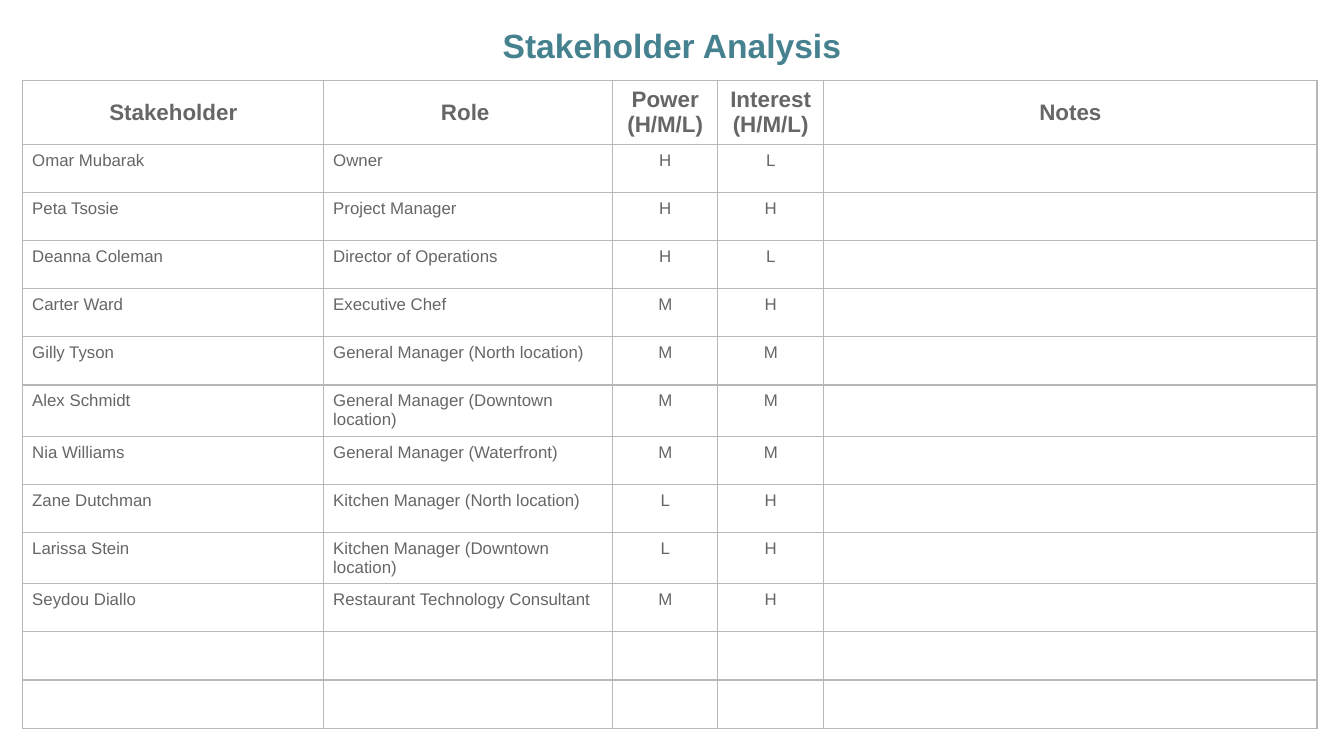
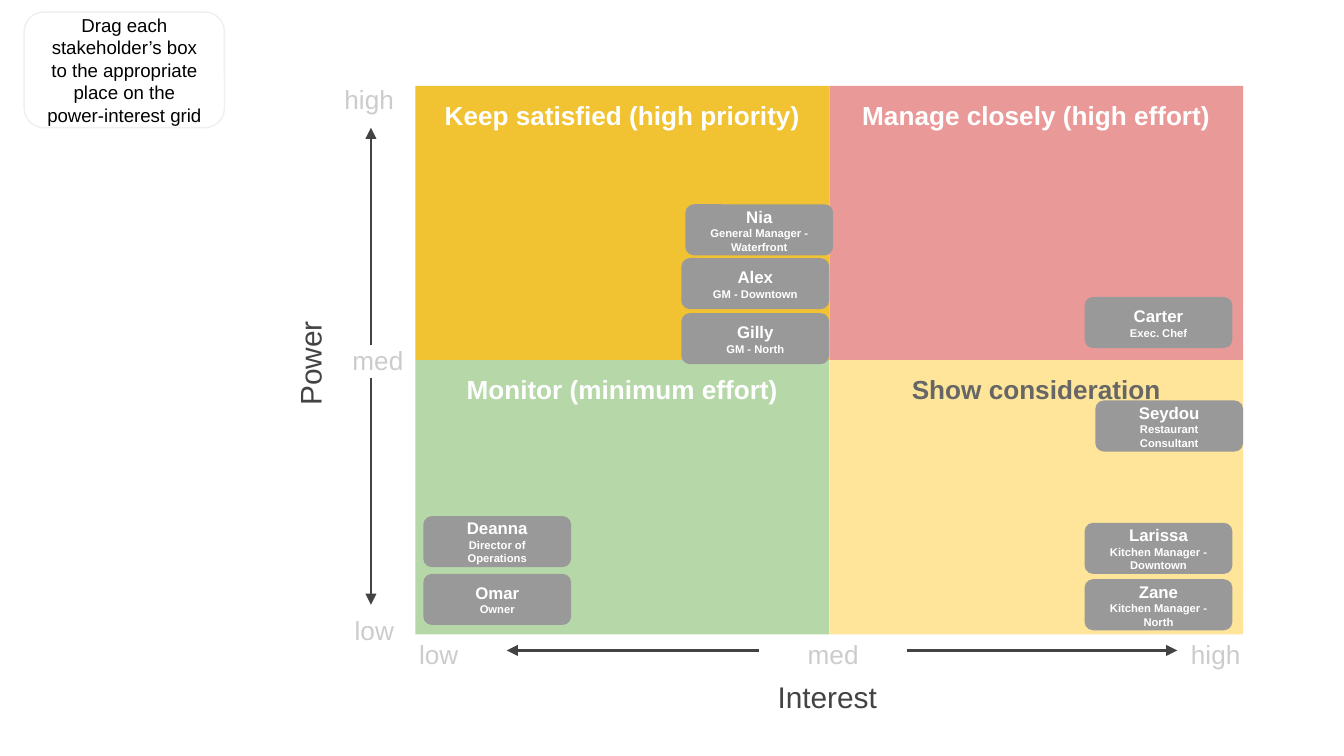
from lxml import etree
from pptx import Presentation, util as u
from pptx.dml.color import RGBColor
from pptx.enum import shapes, text
from pptx.oxml import ns

COLORS = {
    "title": "45818E", "table_text": "666666", "border": "B7B7B7",
    "gold": "F1C232", "pink": "EA9999", "green": "B6D7A8", "cream": "FFE599",
    "white": "FFFFFF", "black": "000000", "card": "999999",
    "axis": "434343", "scale": "CCCCCC", "hint_line": "EFEFEF",
}
ALIGN = {"l": text.PP_ALIGN.LEFT, "c": text.PP_ALIGN.CENTER, "r": text.PP_ALIGN.RIGHT}
TOP, MIDDLE = text.MSO_ANCHOR.TOP, text.MSO_ANCHOR.MIDDLE


def write(frame, lines, color, align="c", bold=False):
    for index, (words, size) in enumerate(lines):
        paragraph = frame.paragraphs[0] if index == 0 else frame.add_paragraph()
        paragraph.alignment = ALIGN[align]
        if not words:
            end = etree.SubElement(paragraph._p, ns.qn("a:endParaRPr"))
            end.set("sz", str(size * 100))
            continue
        run = paragraph.add_run()
        run.text = words
        run.font.name = "Arial"
        run.font.size = u.Pt(size)
        run.font.bold = bold
        run.font.color.rgb = RGBColor.from_string(COLORS[color])


def add_box(slide, box, lines, color, kind=None, fill=None, align="c", bold=False, anchor=TOP):
    place = [u.Inches(value) for value in box]
    if kind is None:
        shape = slide.shapes.add_textbox(*place)
    else:
        shape = slide.shapes.add_shape(kind, *place)
        shape.shadow.inherit = False
        shape.line.fill.background()
        if fill:
            shape.fill.solid()
            shape.fill.fore_color.rgb = RGBColor.from_string(COLORS[fill])
        else:
            shape.fill.background()
    frame = shape.text_frame
    frame.word_wrap = True
    frame.vertical_anchor = anchor
    frame.margin_left = frame.margin_right = u.Inches(0.1)
    frame.margin_top = frame.margin_bottom = u.Inches(0.1)
    write(frame, lines, color, align, bold)
    return shape


presentation = Presentation()
presentation.slide_width = u.Inches(10)
presentation.slide_height = u.Inches(10 * 9 / 16)
blank = presentation.slide_layouts[6]

slide = presentation.slides.add_slide(blank)
stakeholders = [
    ("Stakeholder", "Role ", "Power (H/M/L)", "Interest (H/M/L)", "Notes"),
    ("Omar Mubarak", "Owner", "H", "L", ""),
    ("Peta Tsosie", "Project Manager", "H", "H", ""),
    ("Deanna Coleman", "Director of Operations", "H", "L", ""),
    ("Carter Ward", "Executive Chef", "M", "H", ""),
    ("Gilly Tyson", "General Manager (North location)", "M", "M", ""),
    ("Alex Schmidt", "General Manager (Downtown location)", "M", "M", ""),
    ("Nia Williams", "General Manager (Waterfront)", "M", "M", ""),
    ("Zane Dutchman", "Kitchen Manager (North location)", "L", "H", ""),
    ("Larissa Stein", "Kitchen Manager (Downtown location)", "L", "H", ""),
    ("Seydou Diallo", "Restaurant Technology Consultant", "M", "H", ""),
    ("",) * 5,
    ("",) * 5,
]
column_widths = [2.24, 2.15, 0.78, 0.79, 3.67]
header_height, body_height = 0.28, 4.3
table = slide.shapes.add_table(
    len(stakeholders), len(column_widths), u.Inches(0.17), u.Inches(0.6),
    u.Inches(sum(column_widths)), u.Inches(header_height + body_height)).table
table.first_row = False
table.horz_banding = False
for column, width in zip(table.columns, column_widths):
    column.width = u.Inches(width)
for row_index, values in enumerate(stakeholders):
    header = row_index == 0
    height = header_height if header else body_height / (len(stakeholders) - 1)
    table.rows[row_index].height = u.Inches(height)
    for column_index, value in enumerate(values):
        cell = table.cell(row_index, column_index)
        cell.margin_left = cell.margin_right = u.Inches(0.07)
        cell.margin_top = cell.margin_bottom = u.Inches(0.05)
        cell.vertical_anchor = MIDDLE if header else TOP
        centered = header or column_index in (2, 3)
        write(cell.text_frame, [(value, 12 if header else 9)], "table_text",
              "c" if centered else "l", header)
        properties = cell._tc.get_or_add_tcPr()
        for side in ("lnL", "lnR", "lnT", "lnB"):
            border = etree.SubElement(properties, ns.qn("a:" + side), w=str(u.Pt(0.75)))
            border_fill = etree.SubElement(border, ns.qn("a:solidFill"))
            etree.SubElement(border_fill, ns.qn("a:srgbClr"), val=COLORS["border"])
        cell.fill.background()
title = add_box(slide, (0.83, 0.04, 8.34, 0.5), [("Stakeholder Analysis", 18)], "title", bold=True)
title.text_frame.paragraphs[0].line_spacing = 1.15

slide = presentation.slides.add_slide(blank)
grid_left, grid_top, quadrant_width, quadrant_height = 3.09, 0.64, 3.08, 2.04
quadrants = [
    ("Keep satisfied (high priority)", "gold", "white"),
    ("Manage closely (high effort)", "pink", "white"),
    ("Monitor (minimum effort)", "green", "white"),
    ("Show consideration", "cream", "table_text"),
]
for index, (label, fill, color) in enumerate(quadrants):
    row, column = divmod(index, 2)
    box = (grid_left + column * quadrant_width, grid_top + row * quadrant_height,
           quadrant_width, quadrant_height)
    add_box(slide, box, [(label, 14)], color, shapes.MSO_SHAPE.RECTANGLE, fill, bold=True)

power = add_box(slide, (1.39, 2.53, 1.83, 0.35), [("Power", 16)], "axis", anchor=MIDDLE)
power.rotation = 270
interest = add_box(slide, (5.41, 4.95, 1.49, 0.47), [("Interest", 16)], "axis")
interest.text_frame.auto_size = text.MSO_AUTO_SIZE.SHAPE_TO_FIT_TEXT

scale_labels = [
    ("high", (1.7, 0.52, 1.33, 0.26), "r"),
    ("med", (2.42, 2.46, 0.68, 0.44), "r"),
    ("low", (1.7, 4.47, 1.33, 0.26), "r"),
    ("low", (2.76, 4.65, 1.01, 0.38), "c"),
    ("med", (5.65, 4.65, 1.1, 0.38), "c"),
    ("high", (8.54, 4.65, 1.01, 0.38), "c"),
]
for label, box, align in scale_labels:
    add_box(slide, box, [(label, 14)], "scale", align=align)

arrows = [
    (2.76, 2.57, 2.76, 0.95),
    (2.76, 2.81, 2.76, 4.5),
    (6.75, 4.84, 8.76, 4.84),
    (5.65, 4.84, 3.77, 4.84),
]
for ends in arrows:
    arrow = slide.shapes.add_connector(
        shapes.MSO_CONNECTOR.STRAIGHT, *[u.Inches(value) for value in ends])
    arrow.line.color.rgb = RGBColor.from_string(COLORS["axis"])
    arrow.line.width = u.Pt(1.5)
    etree.SubElement(arrow.line._get_or_add_ln(), ns.qn("a:tailEnd"), type="triangle")
    etree.SubElement(arrow._element.spPr, ns.qn("a:effectLst"))

hint = add_box(
    slide, (0.18, 0.09, 1.49, 0.86),
    [("Drag each stakeholder’s box to the appropriate place on the power-interest grid", 10)],
    "black", shapes.MSO_SHAPE.ROUNDED_RECTANGLE, anchor=MIDDLE)
hint.line.color.rgb = RGBColor.from_string(COLORS["hint_line"])
hint.line.width = u.Pt(0.75)

cards = [
    ("Omar", "Owner", 3.15, 4.27),
    ("Deanna", "Director of Operations", 3.15, 3.84),
    ("Carter", "Exec. Chef", 8.07, 2.21),
    ("Gilly", "GM - North", 5.07, 2.33),
    ("Alex", "GM - Downtown", 5.07, 1.92),
    ("Zane", "Kitchen Manager - North", 8.07, 4.31),
    ("Larissa", "Kitchen Manager - Downtown", 8.07, 3.89),
    ("Seydou", "Restaurant Consultant", 8.15, 2.98),
    ("Nia", "General Manager - Waterfront", 5.1, 1.52),
]
for name, role, left, top in cards:
    add_box(slide, (left, top, 1.1, 0.38), [(name, 9), (role, 6)], "white",
            shapes.MSO_SHAPE.ROUNDED_RECTANGLE, "card", bold=True, anchor=MIDDLE)

presentation.save("out.pptx")
